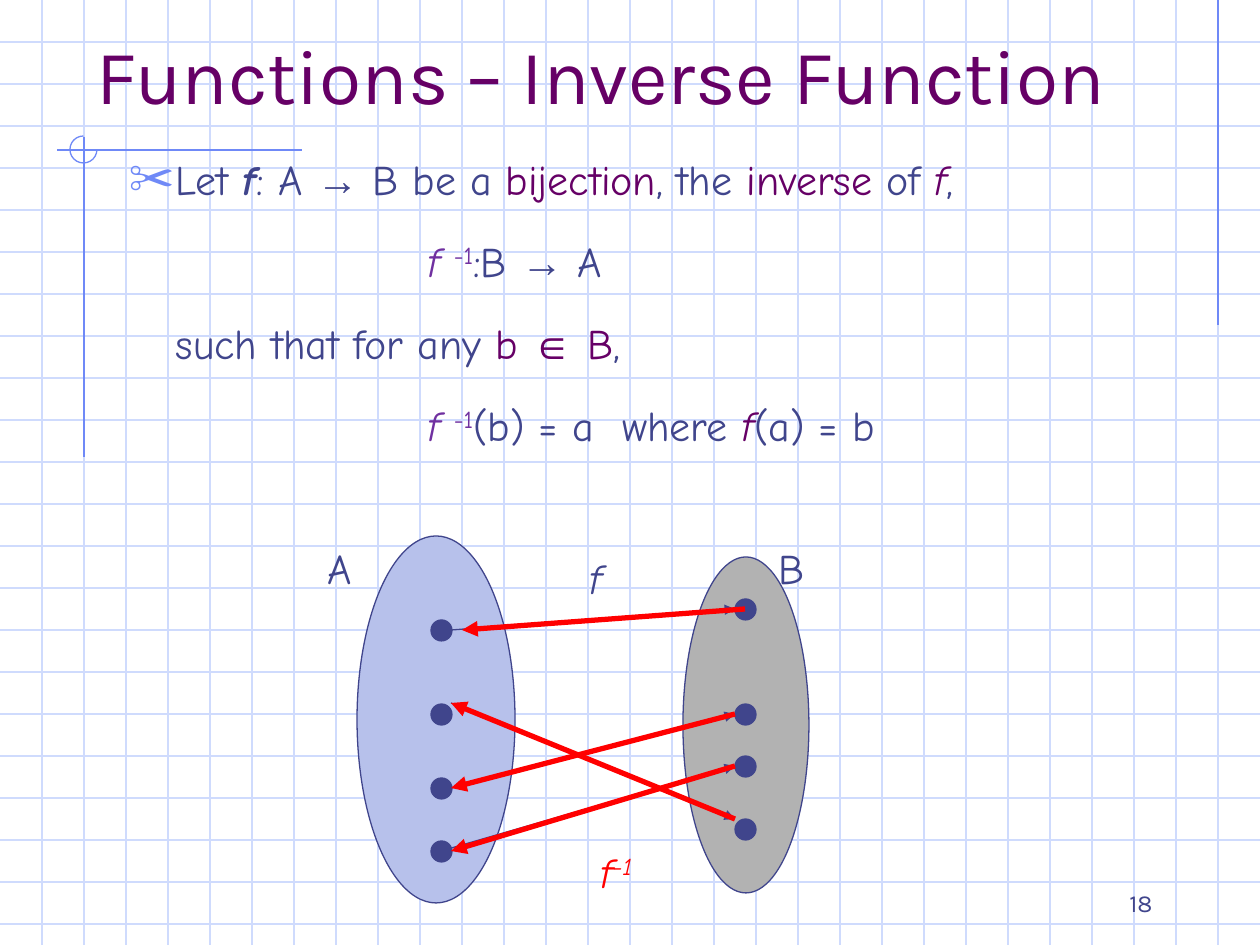
from lxml.etree import SubElement as Sub
from pptx import Presentation
from pptx.dml.color import RGBColor as Rgb
from pptx.enum.shapes import MSO_CONNECTOR as Conn, MSO_SHAPE as Kind
from pptx.enum.text import MSO_ANCHOR as Anchor, MSO_AUTO_SIZE as Auto, PP_ALIGN as Align
from pptx.oxml.ns import qn
from pptx.util import Pt

SCALE = 914400 / 126
WIDE, HIGH, STEP = 1260, 945, 42
INK = {
    "grid": "CFDBFD", "rule": "6F89F7", "text": "40458C", "plum": "660066",
    "violet": "7030A0", "red": "FF0000", "left": "B7C1EB", "right": "B2B2B2",
}
HEAD, HAND, SIGN = "Karla", "Comic Neue", "Arial"


def emu(px):
    return round(px * SCALE)


def ink(name):
    return Rgb.from_string(INK[name])


class Board:
    def __init__(self, deck):
        self.slide = deck.slides.add_slide(deck.slide_layouts[1])
        self.shapes = self.slide.shapes

    def line(self, start, end, color, width=0.75, arrow=False):
        ends = [emu(v) for v in (*start, *end)]
        link = self.shapes.add_connector(Conn.STRAIGHT, *ends)
        link.line.color.rgb = ink(color)
        link.line.width = Pt(width)
        props = link._element.spPr
        if arrow:
            Sub(props.find(qn("a:ln")), qn("a:tailEnd"), type="triangle")
        Sub(props, qn("a:effectLst"))

    def shape(self, kind, box, fill, edge):
        item = self.shapes.add_shape(kind, *[emu(v) for v in box])
        item.shadow.inherit = False
        if fill:
            item.fill.solid()
            item.fill.fore_color.rgb = ink(fill)
        else:
            item.fill.background()
        item.line.color.rgb = ink(edge)
        item.line.width = Pt(0.75)
        return item

    def dot(self, x, y):
        self.shape(Kind.OVAL, (x - 10, y - 10, 21, 21), "text", "text")

    def runs(self, para, parts, size=24, face=HAND):
        for text, color, marks in parts:
            run = para.add_run()
            run.text = text
            font = run.font
            font.size = Pt(size)
            font.name = SIGN if "s" in marks else face
            font.bold = "b" in marks
            font.italic = "i" in marks
            font.color.rgb = ink(color)
            if "^" in marks:
                font._element.set("baseline", "30000")

    def label(self, box, parts, size=24, face=HAND, align=Align.LEFT, anchor=Anchor.TOP):
        item = self.shapes.add_textbox(*[emu(v) for v in box])
        frame = item.text_frame
        frame.word_wrap = True
        frame.vertical_anchor = anchor
        para = frame.paragraphs[0]
        para.alignment = align
        self.runs(para, parts, size, face)

    def holder(self, item, box, anchor):
        item.left, item.top, item.width, item.height = [emu(v) for v in box]
        frame = item.text_frame
        frame.word_wrap = True
        frame.auto_size = Auto.NONE
        frame.vertical_anchor = anchor
        node = item._element
        node.getparent().append(node)
        return frame

    def title(self, text, box):
        para = self.holder(self.shapes.title, box, Anchor.BOTTOM).paragraphs[0]
        para.alignment = Align.LEFT
        self.runs(para, [(text, "plum", "")], 44, HEAD)

    def body(self, rows, box):
        frame = self.holder(self.slide.placeholders[1], box, Anchor.TOP)
        for i, (margin, bullet, parts) in enumerate(rows):
            para = frame.paragraphs[0] if i == 0 else frame.add_paragraph()
            props = para._p.get_or_add_pPr()
            props.set("marL", str(emu(margin)))
            props.set("indent", str(emu(-margin) if bullet else 0))
            if bullet:
                tint = Sub(props, qn("a:buClr"))
                Sub(tint, qn("a:srgbClr"), val=INK["rule"])
                Sub(props, qn("a:buSzPct"), val="110000")
                Sub(props, qn("a:buChar"), char=bullet)
            else:
                Sub(props, qn("a:buNone"))
            para.space_before = Pt(18 if i else 0)
            self.runs(para, parts)


def main():
    deck = Presentation()
    deck.slide_width, deck.slide_height = emu(WIDE), emu(HIGH)
    board = Board(deck)

    for y in range(STEP, HIGH, STEP):
        board.line((0, y), (WIDE, y), "grid")
    for x in range(STEP, WIDE, STEP):
        board.line((x, 0), (x, HIGH), "grid")
    board.line((1218, 0), (1218, 325), "rule")
    board.line((302, 150), (57, 150), "rule")
    board.line((84, 137), (84, 457), "rule")
    arc = board.shape(Kind.ARC, (70, 136, 27, 27), None, "rule")
    arc.adjustments[0] = 0
    arc.adjustments[1] = 162

    board.label((903, 892, 262, 32), [("18", "text", "")], 14, HEAD, Align.RIGHT, Anchor.BOTTOM)
    board.title("Functions – Inverse Function", (84, 42, 1134, 84))
    inverse = [("f ", "violet", "i"), ("-1", "violet", "^")]
    board.body([
        (47, "✂", [
            ("Let ", "text", ""), ("f", "text", "bi"), (": A ", "text", ""),
            ("→", "text", "s"), (" B be a ", "text", ""), ("bijection", "plum", ""),
            (", the ", "text", ""), ("inverse", "plum", ""), (" of ", "text", ""),
            ("f", "plum", "i"), (",", "text", "")]),
        (299, None, inverse + [
            (":B ", "text", ""), ("→", "text", "s"), (" A", "text", "")]),
        (47, None, [
            ("such that for any ", "text", ""), ("b ", "plum", ""), ("∈", "plum", "s"),
            (" B", "plum", ""), (",", "text", "")]),
        (299, None, inverse + [
            ("(b) = a  where ", "text", ""), ("f", "plum", "i"), ("(a) = b", "text", "")]),
    ], (116, 147, 1071, 683))

    board.shape(Kind.OVAL, (683, 557, 126, 336), "right", "text")
    board.shape(Kind.OVAL, (357, 536, 158, 367), "left", "text")
    for x, spots in ((441, (630, 714, 788, 851)), (745, (609, 714, 766, 829))):
        for y in spots:
            board.dot(x, y)

    pairs = [
        ((451, 630), (735, 609), (745, 609), (462, 630)),
        ((451, 703), (735, 819), (735, 819), (451, 703)),
        ((441, 851), (735, 766), (735, 766), (451, 851)),
        ((451, 788), (735, 714), (735, 714), (451, 788)),
    ]
    for start, end, _, _ in pairs:
        board.line(start, end, "text", arrow=True)
    for _, _, start, end in pairs:
        board.line(start, end, "red", 3, True)

    board.label((315, 536, 73, 63), [("A", "text", "")])
    board.label((766, 536, 73, 63), [("B", "text", "")])
    board.label((577, 546, 63, 63), [("f", "text", "i")])
    board.label((588, 840, 105, 63), [("f", "red", "i"), ("-1", "red", "i^")])
    deck.save("out.pptx")


if __name__ == "__main__":
    main()
